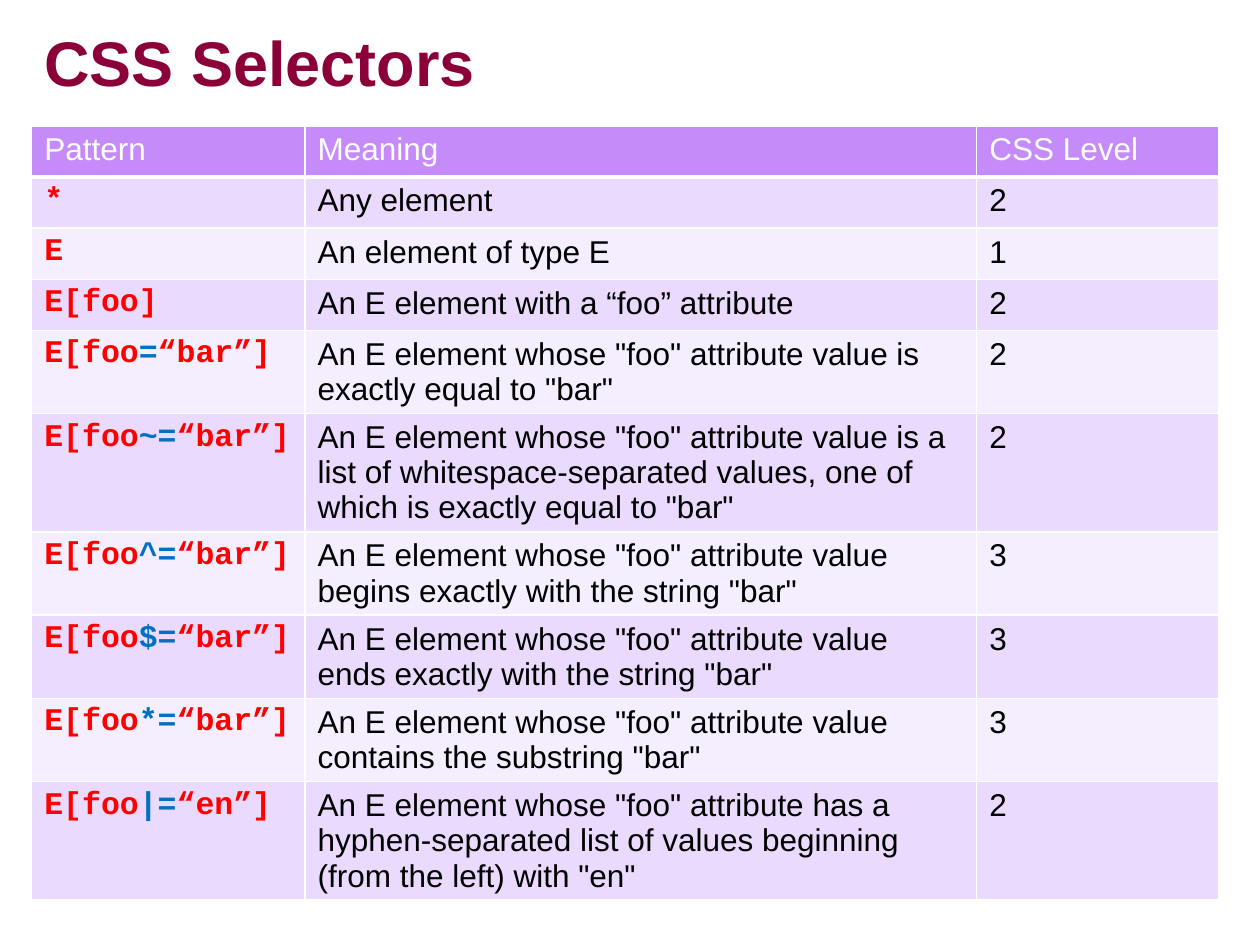
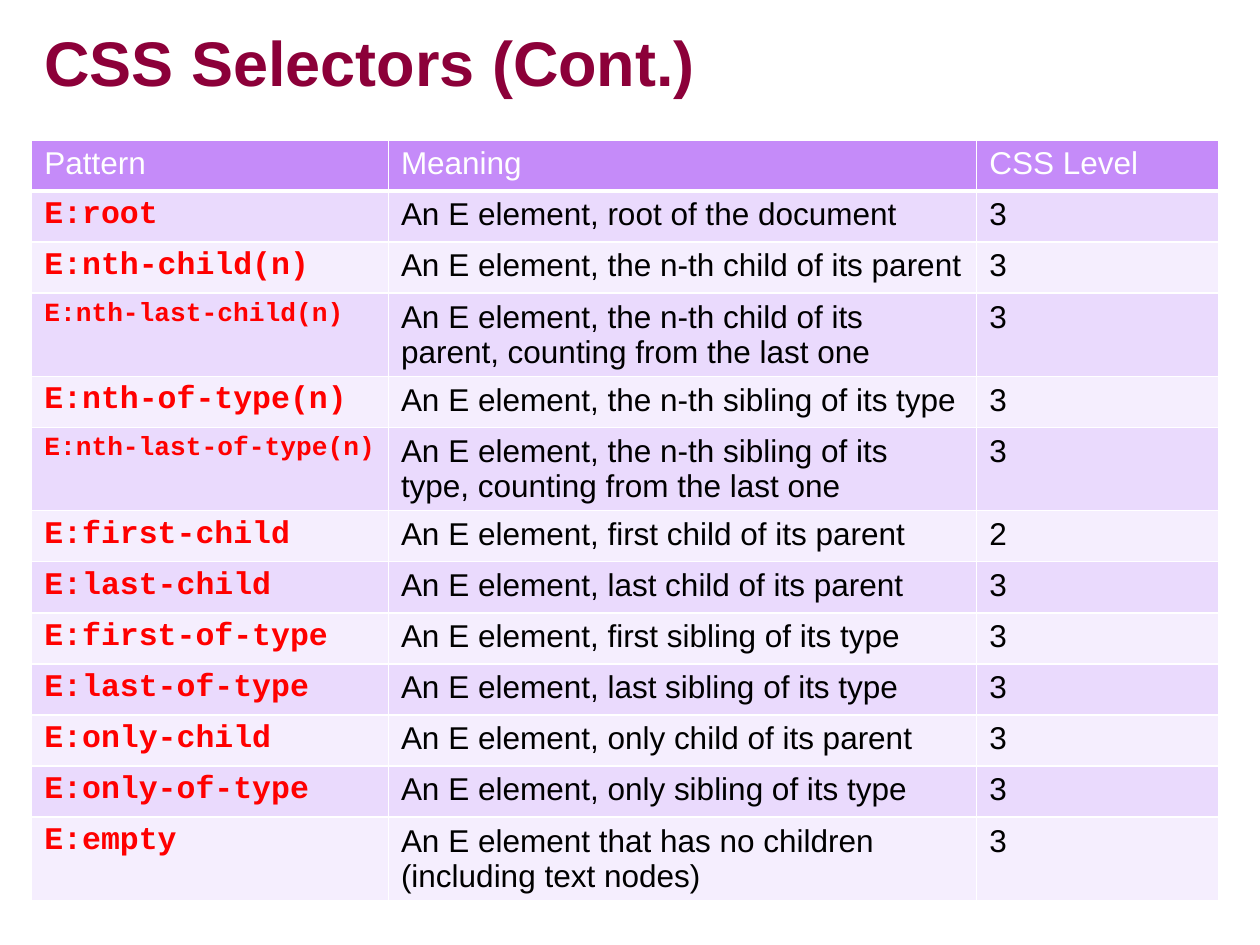
"""Builds two slides that tabulate CSS selectors."""
from dataclasses import dataclass

import lxml.etree
import pptx
import pptx.dml.color
import pptx.enum.text
import pptx.oxml.ns
import pptx.presentation
import pptx.table
import pptx.util

Cm = pptx.util.Cm
RGBColor = pptx.dml.color.RGBColor

TITLE_COLOR = RGBColor(0x8C, 0x00, 0x39)
HEADER_FILL = RGBColor(0xC5, 0x8B, 0xF9)
BAND_FILLS = (RGBColor(0xEA, 0xDA, 0xFD), RGBColor(0xF5, 0xEE, 0xFE))
WHITE = RGBColor(0xFF, 0xFF, 0xFF)
BLACK = RGBColor(0x00, 0x00, 0x00)
RED = RGBColor(0xFF, 0x00, 0x00)
BLUE = RGBColor(0x00, 0x70, 0xC0)

TEXT_FONT = "Arial"
CODE_FONT = "Courier New"
HEADINGS = ("Pattern", "Meaning", "CSS Level")

LEFT = Cm(0.64)
TITLE_WIDTH = Cm(23.93)
TITLE_HEIGHT = Cm(2.49)
ROW_HEIGHT = Cm(1.03)
LEVEL_WIDTH = Cm(4.88)
TITLE_SIZE = 36
BODY_SIZE = 18
SMALL_SIZE = 15


@dataclass(frozen=True)
class Selector:
    pattern: str
    meaning: str
    level: int
    operator: str = ""
    size: int = BODY_SIZE


@dataclass(frozen=True)
class SelectorPage:
    title: str
    table_top: pptx.util.Length
    pattern_width: pptx.util.Length
    meaning_width: pptx.util.Length
    selectors: tuple[Selector, ...]


def attribute_selector(operator: str, meaning: str, level: int, value: str = "bar") -> Selector:
    return Selector(f"E[foo{operator}“{value}”]",
                    f'An E element whose "foo" attribute {meaning}', level, operator)


def structural_selector(name: str, meaning: str, level: int = 3, size: int = BODY_SIZE) -> Selector:
    return Selector(f"E:{name}", f"An E element{meaning}", level, size=size)


PAGES = (
    SelectorPage("CSS Selectors", Cm(2.54), Cm(5.51), Cm(13.54), (
        Selector("*", "Any element", 2),
        Selector("E", "An element of type E", 1),
        Selector("E[foo]", "An E element with a “foo” attribute", 2),
        attribute_selector("=", 'value is exactly equal to "bar"', 2),
        attribute_selector("~=", "value is a list of whitespace-separated values, "
                                 'one of which is exactly equal to "bar"', 2),
        attribute_selector("^=", 'value begins exactly with the string "bar"', 3),
        attribute_selector("$=", 'value ends exactly with the string "bar"', 3),
        attribute_selector("*=", 'value contains the substring "bar"', 3),
        attribute_selector("|=", "has a hyphen-separated list of values beginning "
                                 '(from the left) with "en"', 2, "en"),
    )),
    SelectorPage("CSS Selectors (Cont.)", Cm(2.82), Cm(7.19), Cm(11.86), (
        structural_selector("root", ", root of the document"),
        structural_selector("nth-child(n)", ", the n-th child of its parent"),
        structural_selector("nth-last-child(n)", ", the n-th child of its parent, "
                            "counting from the last one", size=SMALL_SIZE),
        structural_selector("nth-of-type(n)", ", the n-th sibling of its type"),
        structural_selector("nth-last-of-type(n)", ", the n-th sibling of its type, "
                            "counting from the last one", size=SMALL_SIZE),
        structural_selector("first-child", ", first child of its parent", 2),
        structural_selector("last-child", ", last child of its parent"),
        structural_selector("first-of-type", ", first sibling of its type"),
        structural_selector("last-of-type", ", last sibling of its type"),
        structural_selector("only-child", ", only child of its parent"),
        structural_selector("only-of-type", ", only sibling of its type"),
        structural_selector("empty", " that has no children (including text nodes)"),
    )),
)


def format_span(span, color: RGBColor, size: int = BODY_SIZE,
                font: str = TEXT_FONT, bold: bool = False) -> None:
    span.font.name = font
    span.font.size = pptx.util.Pt(size)
    span.font.bold = bold
    span.font.color.rgb = color


def style_cell(cell: pptx.table._Cell, fill: RGBColor, bottom_border: int = 1) -> None:
    """Give the cell white borders, in points, and a plain fill."""
    properties = cell._tc.get_or_add_tcPr()
    qn = pptx.oxml.ns.qn
    for side, points in (("L", 1), ("R", 1), ("T", 1), ("B", bottom_border)):
        border = lxml.etree.SubElement(properties, qn(f"a:ln{side}"),
                                       w=str(pptx.util.Pt(points)))
        paint = lxml.etree.SubElement(border, qn("a:solidFill"))
        lxml.etree.SubElement(paint, qn("a:srgbClr"), val=str(WHITE))
    cell.fill.solid()
    cell.fill.fore_color.rgb = fill


def write_cell(cell: pptx.table._Cell, text: str, color: RGBColor) -> None:
    cell.text_frame.text = text
    format_span(cell.text_frame.paragraphs[0].runs[0], color)


def write_pattern(cell: pptx.table._Cell, selector: Selector) -> None:
    """Write the pattern in red code type, with its operator in blue."""
    if selector.operator:
        parts = selector.pattern.partition(selector.operator)
    else:
        parts = (selector.pattern,)
    para = cell.text_frame.paragraphs[0]
    for part, color in zip(parts, (RED, BLUE, RED)):
        span = para.add_run()
        span.text = part
        format_span(span, color, selector.size, CODE_FONT, bold=True)


def add_title(page, text: str) -> None:
    box = page.shapes.title
    box.left, box.top, box.width, box.height = LEFT, Cm(0), TITLE_WIDTH, TITLE_HEIGHT
    box.text_frame.text = text
    box.text_frame.vertical_anchor = pptx.enum.text.MSO_ANCHOR.MIDDLE
    para = box.text_frame.paragraphs[0]
    para.alignment = pptx.enum.text.PP_ALIGN.LEFT
    format_span(para.runs[0], TITLE_COLOR, TITLE_SIZE, bold=True)


def add_selector_table(page, content: SelectorPage) -> None:
    widths = (content.pattern_width, content.meaning_width, LEVEL_WIDTH)
    row_count = len(content.selectors) + 1
    table = page.shapes.add_table(row_count, len(widths), LEFT, content.table_top,
                                  sum(widths), ROW_HEIGHT * row_count).table
    for column, width in zip(table.columns, widths):
        column.width = width

    for column_index, heading in enumerate(HEADINGS):
        cell = table.cell(0, column_index)
        write_cell(cell, heading, WHITE)
        style_cell(cell, HEADER_FILL, bottom_border=3)

    for row_index, selector in enumerate(content.selectors, start=1):
        pattern, meaning, level = table.rows[row_index].cells
        write_pattern(pattern, selector)
        write_cell(meaning, selector.meaning, BLACK)
        write_cell(level, str(selector.level), BLACK)
        for cell in (pattern, meaning, level):
            style_cell(cell, BAND_FILLS[(row_index - 1) % 2])


def add_selector_page(deck: pptx.presentation.Presentation, content: SelectorPage) -> None:
    title_only = deck.slide_layouts.get_by_name("Title Only")
    page = deck.slides.add_slide(title_only)
    add_title(page, content.title)
    add_selector_table(page, content)


def main() -> None:
    deck = pptx.Presentation()
    deck.slide_width, deck.slide_height = Cm(25.4), Cm(19.05)
    for content in PAGES:
        add_selector_page(deck, content)
    deck.save("out.pptx")


if __name__ == "__main__":
    main()
